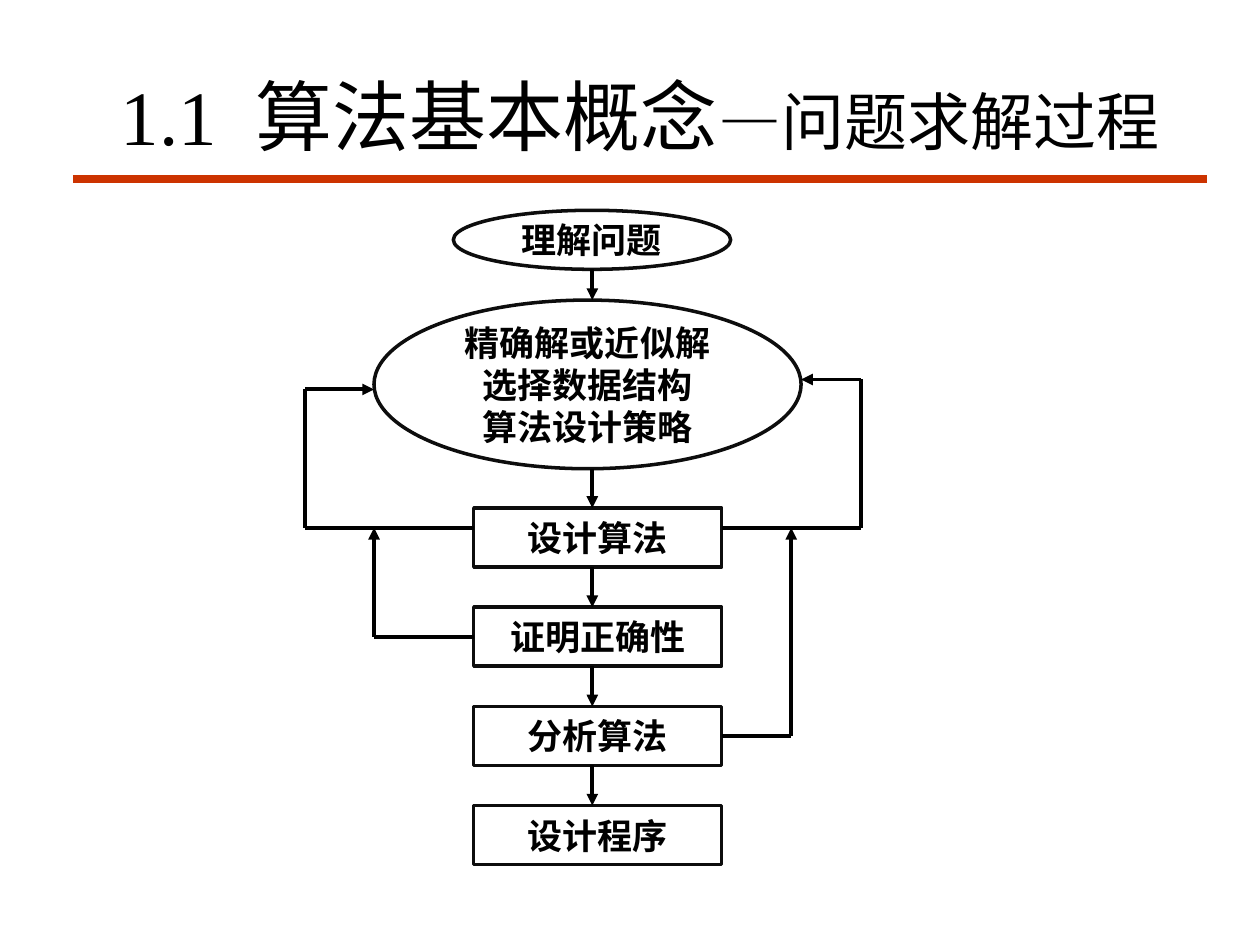
"""Build the slide on the problem-solving process for algorithms."""
from dataclasses import dataclass
from itertools import pairwise

from lxml import etree
from pptx import Presentation
from pptx.dml.color import RGBColor
from pptx.enum.shapes import MSO_CONNECTOR, MSO_SHAPE
from pptx.enum.text import MSO_ANCHOR, PP_ALIGN
from pptx.oxml.ns import qn
from pptx.util import Cm, Pt

STRAIGHT = MSO_CONNECTOR.STRAIGHT
OVAL, RECTANGLE = MSO_SHAPE.OVAL, MSO_SHAPE.RECTANGLE
MIDDLE, CENTER = MSO_ANCHOR.MIDDLE, PP_ALIGN.CENTER
LEFT_SIDE, RIGHT_SIDE = 1, 3


@dataclass(frozen=True)
class Theme:
    """Colours, fonts and sizes in points."""
    ink: RGBColor = RGBColor(0, 0, 0)
    outline: RGBColor = RGBColor(0x0D, 0x0D, 0x0D)
    paper: RGBColor = RGBColor(255, 255, 255)
    accent: RGBColor = RGBColor(0xCC, 0x33, 0)
    serif: str = "Times New Roman"
    sans: str = "Arial"
    label: str = "Cabin"
    title_size: float = 44
    subtitle_size: float = 36
    step_size: float = 20
    space_tracking: float = 11
    outline_width: float = 2
    arrow_width: float = 2.25
    rule_width: float = 4.5


THEME = Theme()

TITLE = [
    ("1.1", THEME.title_size, THEME.serif, 0),
    (" ", THEME.title_size, THEME.serif, THEME.space_tracking),
    ("算法基本概念", THEME.title_size, THEME.serif, 0),
    ("—", THEME.subtitle_size, THEME.sans, 0),
    ("问题求解过程", THEME.subtitle_size, THEME.serif, 0),
]
OVALS = [
    (["理解问题"], (9.14, 4.24, 5.59, 1.19)),
    (["精确解或近似解", "选择数据结构", "算法设计策略"], (7.54, 6.05, 8.61, 3.4)),
]
STEPS = [
    ("设计算法", THEME.sans),
    ("证明正确性", THEME.label),
    ("分析算法", THEME.label),
    ("设计程序", THEME.label),
]

RULE_LEFT, RULE_TOP, RULE_WIDTH = 1.47, 3.61, 22.86
STEP_LEFT, STEP_TOP, STEP_WIDTH, STEP_HEIGHT, STEP_PITCH = 9.55, 10.24, 5, 1.19, 2
STEP_RIGHT = STEP_LEFT + STEP_WIDTH
FLOW_X, RETURN_Y = 11.94, 10.64


def add_span(para, text, size, font, bold=False, tracking=0):
    span = para.add_run()
    span.text = text
    span.font.size, span.font.name, span.font.bold = Pt(size), font, bold
    span.font.color.rgb = THEME.ink
    if tracking:
        span.font._element.set("spc", str(round(tracking * 100)))


def add_node(page, kind, lines, font, bounds):
    node = page.shapes.add_shape(kind, *map(Cm, bounds))
    node.shadow.inherit = False
    node.fill.solid()
    node.fill.fore_color.rgb = THEME.paper
    node.line.color.rgb = THEME.outline
    node.line.width = Pt(THEME.outline_width)
    frame = node.text_frame
    frame.word_wrap, frame.vertical_anchor = False, MIDDLE
    for index, text in enumerate(lines):
        para = frame.add_paragraph() if index else frame.paragraphs[0]
        para.alignment = CENTER
        add_span(para, text, THEME.step_size, font, bold=True)
    return node


def add_line(page, start, end, color=THEME.ink, width=THEME.arrow_width, arrow=False):
    line = page.shapes.add_connector(STRAIGHT, *map(Cm, (*start, *end)))
    line.line.color.rgb = color
    line.line.width = Pt(width)
    properties = line._element.spPr
    if arrow:
        etree.SubElement(properties.find(qn("a:ln")), qn("a:tailEnd"), type="triangle")
    etree.SubElement(properties, qn("a:effectLst"))
    return line


def add_route(page, points):
    legs = list(pairwise(points))
    return [add_line(page, start, end, arrow=index == len(legs))
            for index, (start, end) in enumerate(legs, 1)]


def add_title(page):
    add_line(page, (RULE_LEFT, RULE_TOP), (RULE_LEFT + RULE_WIDTH, RULE_TOP),
             THEME.accent, THEME.rule_width)
    title = page.shapes.title
    title.left, title.top, title.width, title.height = map(Cm, (RULE_LEFT, 1.22, RULE_WIDTH, 2.18))
    title.text_frame.vertical_anchor = MIDDLE
    para = title.text_frame.paragraphs[0]
    para.alignment = CENTER
    for text, size, font, tracking in TITLE:
        add_span(para, text, size, font, tracking=tracking)


def add_flow(page):
    spans = []
    for lines, bounds in OVALS:
        add_node(page, OVAL, lines, THEME.sans, bounds)
        spans.append((bounds[1], bounds[1] + bounds[3]))
    boxes = []
    for index, (text, font) in enumerate(STEPS):
        top = STEP_TOP + index * STEP_PITCH
        bounds = (STEP_LEFT, top, STEP_WIDTH, STEP_HEIGHT)
        boxes.append(add_node(page, RECTANGLE, [text], font, bounds))
        spans.append((top, top + STEP_HEIGHT))
    for (_, bottom), (top, _) in pairwise(spans):
        add_line(page, (FLOW_X, bottom), (FLOW_X, top), arrow=True)
    return boxes


def add_returns(page, boxes):
    _, proof, analysis, _ = boxes
    oval_left, _, oval_width, _ = OVALS[1][1]
    for edge, lane, entry_y, entry_x in [
        (STEP_LEFT, 6.15, 7.85, oval_left),
        (STEP_RIGHT, 17.35, 7.65, oval_left + oval_width),
    ]:
        add_route(page, [(edge, RETURN_Y), (lane, RETURN_Y), (lane, entry_y), (entry_x, entry_y)])
    for box, side, edge, lane in [
        (proof, LEFT_SIDE, STEP_LEFT, oval_left),
        (analysis, RIGHT_SIDE, STEP_RIGHT, 15.95),
    ]:
        middle = (box.top + box.height / 2) / Cm(1)
        legs = add_route(page, [(edge, middle), (lane, middle), (lane, RETURN_Y)])
        legs[0].begin_connect(box, side)


def main():
    deck = Presentation()
    deck.slide_width, deck.slide_height = Cm(25.4), Cm(19.05)
    page = deck.slides.add_slide(deck.slide_layouts.get_by_name("Title Only"))
    add_title(page)
    add_returns(page, add_flow(page))
    deck.save("out.pptx")


if __name__ == "__main__":
    main()
